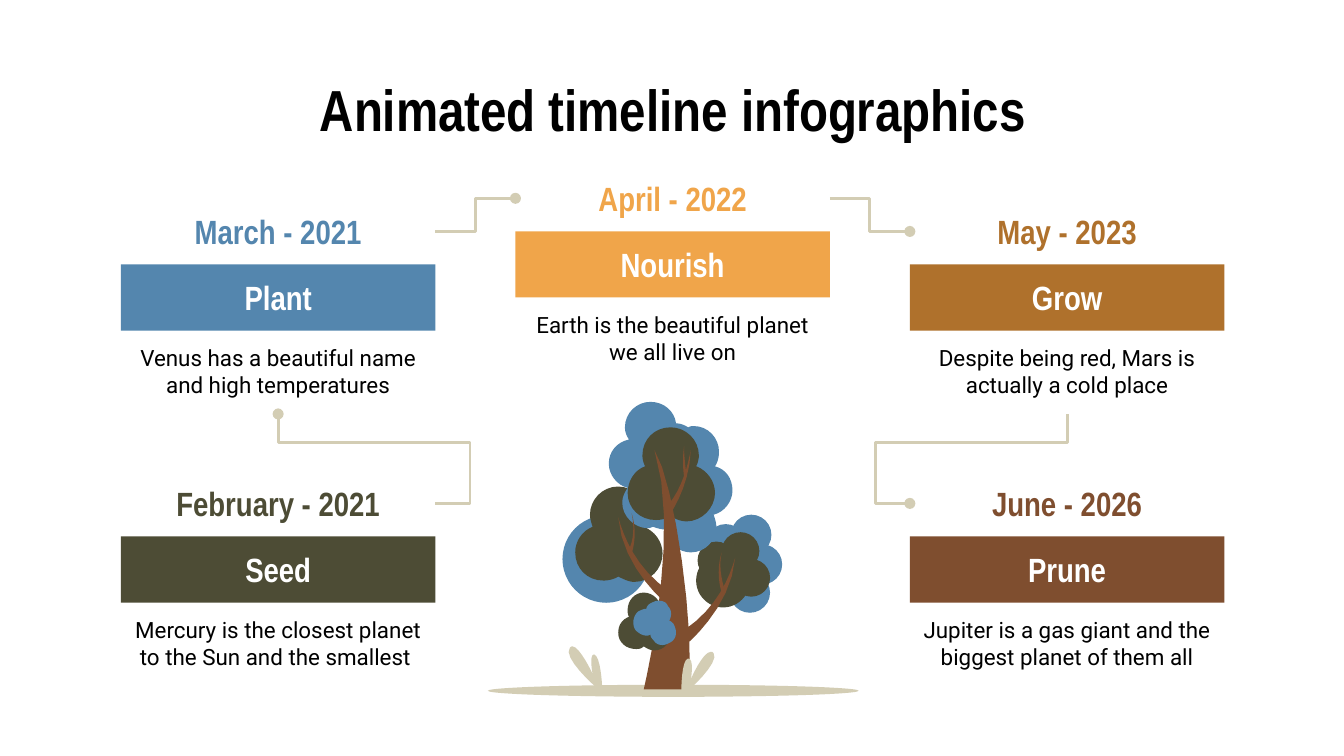
"""Build a five-step timeline slide arranged around a growing tree."""
import pptx
import pptx.util
from pptx.dml.color import RGBColor
from pptx.enum.shapes import MSO_CONNECTOR, MSO_SHAPE
from pptx.enum.text import MSO_ANCHOR, PP_ALIGN
from pptx.oxml.ns import qn
from lxml import etree

BLACK = RGBColor(0x00, 0x00, 0x00)
WHITE = RGBColor(0xFF, 0xFF, 0xFF)
BLUE = RGBColor(0x54, 0x86, 0xAE)
OLIVE = RGBColor(0x4D, 0x4C, 0x35)
LIME = RGBColor(0xBC, 0xCF, 0x74)
ORANGE = RGBColor(0xF0, 0xA5, 0x4A)
OCHRE = RGBColor(0xAF, 0x71, 0x2C)
BROWN = RGBColor(0x7F, 0x4E, 0x2F)
SAND = RGBColor(0xD3, 0xCD, 0xB4)
HEADING_FONT, BODY_FONT = "Arial Narrow", "Roboto"

TITLE = "Animated timeline infographics"
STEPS = [
    ("Seed", "February - 2021", "Mercury is the closest planet to the Sun and the smallest ", OLIVE, 0, 2),
    ("Nourish", "April - 2022", "Earth is the beautiful planet we all live on", ORANGE, 1, 0),
    ("Prune", "June - 2026", "Jupiter is a gas giant and the biggest planet of them all", BROWN, 2, 2),
    ("Plant", "March - 2021", "Venus has a beautiful name and high temperatures", BLUE, 0, 1),
    ("Grow", "May - 2023", "Despite being red, Mars is actually a cold place", OCHRE, 2, 1),
]

SLIDE_WIDTH = 10
SLIDE_HEIGHT = SLIDE_WIDTH * 9 / 16
FIRST_LEFT, LAST_LEFT, STEP_WIDTH = 0.9, 6.77, 2.34
BAR_HEIGHT, BODY_HEIGHT = SLIDE_HEIGHT * 7 / 80, 0.62
COLUMNS = [FIRST_LEFT + (LAST_LEFT - FIRST_LEFT) * share / 2 for share in range(3)]
ROWS = [1.23, 1.23 + BAR_HEIGHT / 2, 3.5]

GROUND = (5.01, 5.14, 2.76, 0.09)
BACK_LEAVES = (4.51, 4.16, 0.65, 0.65)
LEFT_LEAVES = [(4.6, 3.62), (4.48, 3.62, 4.39, 3.72, 4.39, 3.83), (4.39, 3.86, 4.4, 3.89, 4.41, 3.92),
               (4.33, 3.95, 4.28, 4.03, 4.28, 4.11), (4.28, 4.23, 4.37, 4.32, 4.49, 4.32),
               (4.53, 4.32, 4.57, 4.31, 4.6, 4.29), (4.64, 4.31, 4.68, 4.33, 4.72, 4.33),
               (4.84, 4.33, 4.93, 4.23, 4.93, 4.12), (4.93, 4.03, 4.87, 3.95, 4.79, 3.92),
               (4.8, 3.89, 4.81, 3.86, 4.81, 3.83), (4.81, 3.72, 4.71, 3.62, 4.6, 3.62)]
RIGHT_LEAVES = [
    (LIME, (5.45, 4.22, 0.42, 0.42)), (BLUE, (5.4, 4.05, 0.3, 0.3)), (BLUE, (5.59, 3.98, 0.3, 0.3)),
    (BLUE, (5.67, 4.2, 0.3, 0.3)), (BLUE, (5.58, 4.41, 0.3, 0.3)), (OLIVE, (5.38, 4.32, 0.4, 0.4)),
    (OLIVE, (5.33, 4.17, 0.28, 0.28)), (OLIVE, (5.51, 4.1, 0.28, 0.28)), (OLIVE, (5.59, 4.3, 0.28, 0.28)),
]
CROWN = [(4.84, 2.99), (4.74, 2.99, 4.65, 3.07, 4.65, 3.18), (4.65, 3.21, 4.66, 3.24, 4.68, 3.27),
         (4.59, 3.29, 4.53, 3.36, 4.53, 3.45), (4.53, 3.53, 4.59, 3.61, 4.67, 3.63),
         (4.65, 3.66, 4.63, 3.7, 4.63, 3.74), (4.63, 3.84, 4.72, 3.93, 4.82, 3.93),
         (4.84, 3.93, 4.85, 3.92, 4.86, 3.92), (4.89, 3.93, 4.92, 3.94, 4.95, 3.94),
         (4.97, 4.04, 5.05, 4.11, 5.14, 4.11), (5.25, 4.11, 5.33, 4.02, 5.33, 3.92),
         (5.33, 3.89, 5.32, 3.86, 5.31, 3.83), (5.39, 3.81, 5.45, 3.73, 5.45, 3.65),
         (5.45, 3.56, 5.4, 3.49, 5.32, 3.47), (5.34, 3.44, 5.35, 3.4, 5.35, 3.36),
         (5.35, 3.26, 5.27, 3.17, 5.16, 3.17), (5.15, 3.17, 5.14, 3.17, 5.12, 3.18),
         (5.09, 3.16, 5.06, 3.15, 5.03, 3.15), (5.02, 3.06, 4.94, 2.99, 4.84, 2.99)]
CROWN_CORE = [(4.99, 3.18), (4.87, 3.18, 4.78, 3.27, 4.78, 3.39), (4.78, 3.42, 4.79, 3.45, 4.8, 3.47),
              (4.72, 3.5, 4.67, 3.58, 4.67, 3.67), (4.67, 3.78, 4.76, 3.87, 4.88, 3.87),
              (4.92, 3.87, 4.96, 3.86, 4.99, 3.84), (5.02, 3.86, 5.06, 3.88, 5.11, 3.88),
              (5.22, 3.88, 5.32, 3.78, 5.32, 3.67), (5.32, 3.58, 5.26, 3.5, 5.18, 3.47),
              (5.19, 3.45, 5.2, 3.42, 5.2, 3.39), (5.2, 3.27, 5.1, 3.18, 4.99, 3.18)]
BRANCHES = [
    [(4.87, 3.35), (5.05, 3.91, 4.84, 4.92, 4.79, 5.13), (5.12, 5.13), (5.18, 4.72, 5.02, 3.58, 4.87, 3.35)],
    [(5.47, 4.15), (5.43, 4.29, 5.34, 4.52, 5.09, 4.69), (5.07, 4.8, 5.08, 4.81, 5.08, 4.81),
     (5.09, 4.81), (5.09, 4.81, 5.44, 4.53, 5.47, 4.15)],
    [(5.37, 4.11), (5.34, 4.2, 5.34, 4.32, 5.37, 4.41), (5.4, 4.41), (5.36, 4.3, 5.35, 4.2, 5.37, 4.11)],
    [(4.6, 3.85), (4.63, 4.24, 4.98, 4.51, 4.98, 4.51), (4.99, 4.52), (4.99, 4.52, 5, 4.5, 4.98, 4.4),
     (4.73, 4.23, 4.64, 3.99, 4.6, 3.85)],
    [(4.7, 3.82), (4.72, 3.91, 4.72, 4.02, 4.67, 4.11), (4.7, 4.12), (4.73, 4.03, 4.73, 3.91, 4.7, 3.82)],
    [(5.14, 3.35), (5.12, 3.45, 5.08, 3.63, 4.97, 3.76), (4.95, 3.84, 4.96, 3.85, 4.96, 3.85),
     (4.97, 3.85), (4.97, 3.85, 5.13, 3.64, 5.14, 3.35)],
    [(5.09, 3.32), (5.08, 3.4, 5.08, 3.47, 5.09, 3.55), (5.11, 3.55), (5.1, 3.47, 5.09, 3.4, 5.09, 3.32)],
]
LOW_LEAVES = [(4.79, 4.41), (4.72, 4.41, 4.67, 4.47, 4.67, 4.54), (4.67, 4.56, 4.67, 4.57, 4.68, 4.59),
              (4.63, 4.61, 4.6, 4.65, 4.6, 4.71), (4.6, 4.78, 4.66, 4.83, 4.73, 4.83),
              (4.75, 4.83, 4.77, 4.83, 4.79, 4.81), (4.82, 4.83, 4.84, 4.84, 4.87, 4.84),
              (4.94, 4.84, 4.99, 4.78, 4.99, 4.71), (4.99, 4.65, 4.96, 4.61, 4.91, 4.59),
              (4.92, 4.57, 4.92, 4.56, 4.92, 4.54), (4.92, 4.47, 4.86, 4.41, 4.79, 4.41)]
LOW_CORE = [(4.9, 4.47), (4.88, 4.47, 4.86, 4.48, 4.84, 4.49), (4.82, 4.5, 4.81, 4.52, 4.81, 4.53),
            (4.79, 4.53, 4.77, 4.54, 4.75, 4.55), (4.71, 4.58, 4.7, 4.65, 4.73, 4.69),
            (4.75, 4.71, 4.78, 4.73, 4.81, 4.73), (4.82, 4.73, 4.83, 4.73, 4.84, 4.72),
            (4.84, 4.74, 4.85, 4.75, 4.86, 4.76), (4.88, 4.79, 4.9, 4.8, 4.93, 4.8),
            (4.95, 4.8, 4.97, 4.79, 4.99, 4.78), (5.04, 4.75, 5.04, 4.69, 5.01, 4.64),
            (5, 4.63, 4.99, 4.62, 4.98, 4.62), (5, 4.58, 5, 4.54, 4.97, 4.51),
            (4.96, 4.48, 4.93, 4.47, 4.9, 4.47)]
LEFT_GRASS = [(4.26, 4.81), (4.25, 4.81, 4.24, 4.82, 4.24, 4.82), (4.18, 4.89, 4.43, 5.11, 4.43, 5.11),
              (4.48, 5.11), (4.48, 5.11, 4.47, 4.88, 4.42, 4.87), (4.38, 4.87, 4.41, 5.02, 4.41, 5.02),
              (4.41, 5.01, 4.31, 4.81, 4.26, 4.81)]
RIGHT_GRASS = [(5.29, 4.85), (5.3, 4.85, 5.3, 4.85, 5.31, 4.86), (5.36, 4.93, 5.11, 5.15, 5.11, 5.15),
               (5.07, 5.14), (5.07, 5.14, 5.07, 4.91, 5.12, 4.9), (5.17, 4.9, 5.14, 5.06, 5.14, 5.06),
               (5.14, 5.05, 5.23, 4.85, 5.29, 4.85)]
TREE = [
    (SAND, GROUND), (BLUE, BACK_LEAVES), (OLIVE, LEFT_LEAVES), *RIGHT_LEAVES,
    (BLUE, CROWN), (OLIVE, CROWN_CORE), *[(BROWN, branch) for branch in BRANCHES],
    (OLIVE, LOW_LEAVES), (BLUE, LOW_CORE), (SAND, LEFT_GRASS), (SAND, RIGHT_GRASS),
]


def inches(*lengths):
    return [pptx.util.Inches(length) for length in lengths]


def paint(shape, color):
    shape.fill.solid()
    shape.fill.fore_color.rgb = color
    shape.line.fill.background()
    shape.shadow.inherit = False


def write(shape, text, *, size, color, font=HEADING_FONT, bold=True, anchor=MSO_ANCHOR.MIDDLE):
    frame = shape.text_frame
    frame.word_wrap = True
    frame.vertical_anchor = anchor
    frame.margin_left = frame.margin_right = frame.margin_top = frame.margin_bottom = pptx.util.Inches(0.1)
    para = frame.paragraphs[0]
    para.alignment = PP_ALIGN.CENTER
    span = para.add_run()
    span.text = text
    span.font.name, span.font.bold = font, bold
    span.font.size = pptx.util.Pt(size)
    span.font.color.rgb = color


def trace(outline, samples=8):
    points = [outline[0]]
    for segment in outline[1:]:
        if len(segment) == 2:
            points.append(segment)
            continue
        controls = [points[-1], segment[:2], segment[2:4], segment[4:]]
        for sample in range(1, samples + 1):
            t = sample / samples
            weights = ((1 - t) ** 3, 3 * t * (1 - t) ** 2, 3 * t * t * (1 - t), t ** 3)
            points.append(tuple(sum(w * c[axis] for w, c in zip(weights, controls)) for axis in (0, 1)))
    return [inches(*point) for point in points]


def draw_tree(shapes):
    for color, form in TREE:
        if isinstance(form, tuple):
            center_x, center_y, width, height = form
            place = inches(center_x - width / 2, center_y - height / 2, width, height)
            part = shapes.add_shape(MSO_SHAPE.OVAL, *place)
        else:
            points = trace(form)
            builder = shapes.build_freeform(*points[0], scale=1.0)
            builder.add_line_segments(points[1:], close=True)
            part = builder.convert_to_shape()
        paint(part, color)


def draw_step(shapes, name, date, body, color, column, row):
    left, top = COLUMNS[column], ROWS[row]
    bar = shapes.add_shape(MSO_SHAPE.RECTANGLE, *inches(left, top + BAR_HEIGHT, STEP_WIDTH, BAR_HEIGHT))
    paint(bar, color)
    write(bar, name, size=18, color=WHITE)
    box = shapes.add_textbox(*inches(left, top + 2 * BAR_HEIGHT, STEP_WIDTH, BODY_HEIGHT))
    write(box, body, size=12, color=BLACK, font=BODY_FONT, bold=False, anchor=MSO_ANCHOR.TOP)
    box = shapes.add_textbox(*inches(left, top, STEP_WIDTH, BAR_HEIGHT))
    write(box, date, size=18, color=color)


def link(shapes, start, end, *, dot="tailEnd", bends=()):
    line = shapes.add_connector(MSO_CONNECTOR.ELBOW, *inches(*start, *end))
    line.line.color.rgb = SAND
    line.line.width = pptx.util.Pt(1.5)
    properties = line._element.spPr
    etree.SubElement(properties.find(qn("a:ln")), qn(f"a:{dot}"), type="oval")
    etree.SubElement(properties, qn("a:effectLst"))
    if bends:
        geometry = properties.find(qn("a:prstGeom"))
        geometry.set("prst", "bentConnector4")
        for number, share in enumerate(bends, 1):
            etree.SubElement(geometry.find(qn("a:avLst")), qn("a:gd"),
                             name=f"adj{number}", fmla=f"val {round(share * 100000)}")


def draw_links(shapes):
    high, middle, low = [top + BAR_HEIGHT / 2 for top in ROWS]
    bottom = ROWS[1] + 2 * BAR_HEIGHT + BODY_HEIGHT
    left, center, right = COLUMNS
    half, bends = STEP_WIDTH / 2, (-0.22, 0.68)
    link(shapes, (left + STEP_WIDTH, low), (left + half, bottom), bends=bends)
    link(shapes, (left + STEP_WIDTH, middle), (center, high))
    link(shapes, (center + STEP_WIDTH, high), (right, middle))
    link(shapes, (right, low), (right + half, bottom), dot="headEnd", bends=bends)


def main():
    deck = pptx.Presentation()
    deck.slide_width, deck.slide_height = inches(SLIDE_WIDTH, SLIDE_HEIGHT)
    page = deck.slides.add_slide(deck.slide_layouts[6])
    title = page.shapes.add_textbox(*inches(0.5, 0.45, 9.01, 0.62))
    write(title, TITLE, size=31, color=BLACK, anchor=MSO_ANCHOR.TOP)
    draw_tree(page.shapes.add_group_shape().shapes)
    for step in STEPS:
        draw_step(page.shapes.add_group_shape().shapes, *step)
    draw_links(page.shapes)
    deck.save("out.pptx")


if __name__ == "__main__":
    main()
